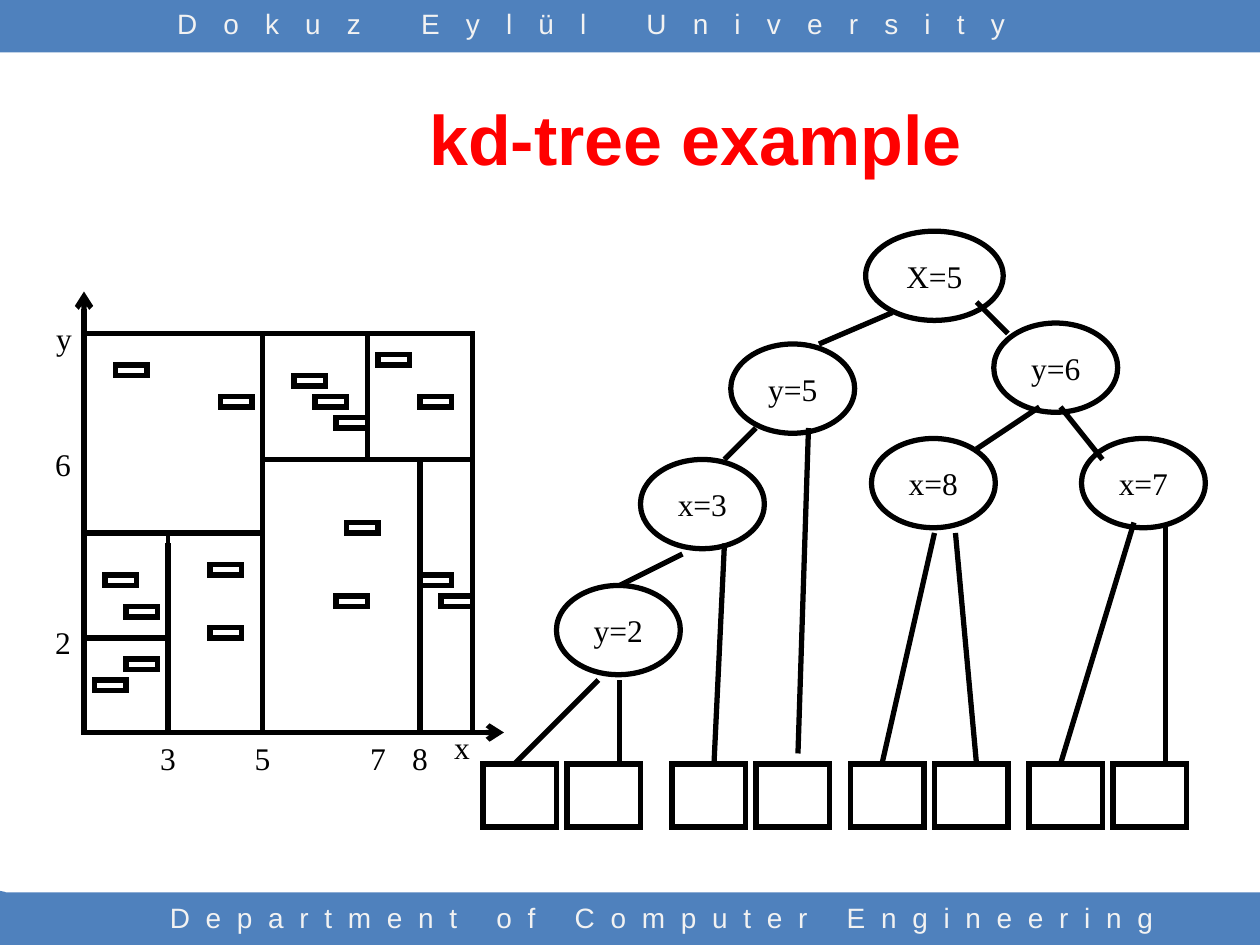
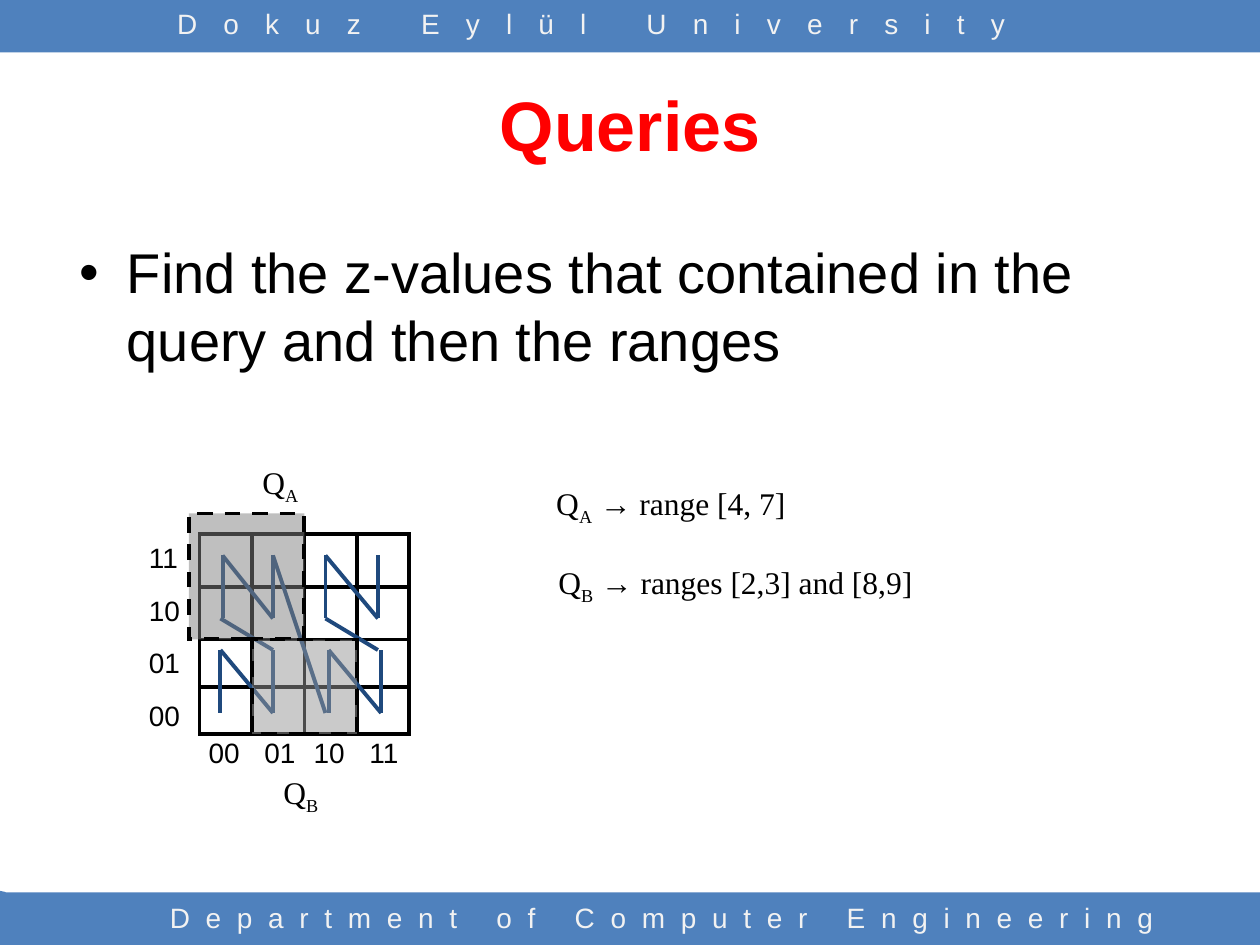
from dataclasses import dataclass
from itertools import product

from lxml.etree import SubElement
from pptx import Presentation
from pptx.dml.color import RGBColor
from pptx.enum.dml import MSO_LINE
from pptx.enum.shapes import MSO_CONNECTOR, MSO_SHAPE
from pptx.enum.text import MSO_ANCHOR, MSO_AUTO_SIZE, PP_ALIGN
from pptx.oxml.ns import qn
from pptx.util import Cm, Pt

SLIDE_W, SLIDE_H, BAND_H = 25.4, 19.05, 1.06
STEP = SLIDE_W / 120  # the drawings sit on a grid of 120 steps across

BAND_BLUE = RGBColor(0x4F, 0x81, 0xBD)
BAND_TEXT = RGBColor(0xF2, 0xF2, 0xF2)
TITLE_RED = RGBColor(0xFF, 0x00, 0x00)
BLACK = RGBColor(0x00, 0x00, 0x00)
CURVE_BLUE = RGBColor(0x1F, 0x49, 0x7D)
QUERY_A_GREY = RGBColor(0x80, 0x80, 0x80)
QUERY_B_GREY = RGBColor(0x96, 0x96, 0x96)
SANS, SERIF = "Arial", "Times New Roman"


@dataclass(frozen=True)
class Box:
    """A rectangle in centimetres."""
    left: float
    top: float
    width: float
    height: float

    def emu(self):
        return Cm(self.left), Cm(self.top), Cm(self.width), Cm(self.height)


@dataclass(frozen=True)
class Grid:
    """Turns grid steps into centimetres, with a small lift of all rows."""
    lift: float

    def x(self, column: float) -> float:
        return column * STEP

    def y(self, row: float) -> float:
        return row * STEP - self.lift

    def box(self, column, row, columns, rows) -> Box:
        return Box(self.x(column), self.y(row), columns * STEP, rows * STEP)


@dataclass(frozen=True)
class Segment:
    x1: float
    y1: float
    x2: float
    y2: float
    weight: float = 3
    color: RGBColor = BLACK
    arrow: bool = False


@dataclass(frozen=True)
class Label:
    text: str
    column: float
    row: float


@dataclass(frozen=True)
class Band:
    area: Box
    text: str
    text_area: Box
    spacing: int  # hundredths of a point


@dataclass(frozen=True)
class Query:
    area: tuple
    fill: RGBColor


@dataclass(frozen=True)
class Formula:
    subscript: str
    rest: str
    area: tuple


TREE_GRID, Z_GRID = Grid(0.05), Grid(0.02)

BANDS = [
    Band(Box(0, 0, SLIDE_W, BAND_H), "Dokuz Eylül University",
         Box(1.65, 0, 20.55, 1.07), 1500),
    Band(Box(0, SLIDE_H - BAND_H, SLIDE_W, BAND_H), "Department of Computer Engineering",
         Box(2.34, 18.03, 22.02, 1.02), 900),
]
FOOTER_CORNERS = [
    [(2.24, 18.01), (2.34, 18.01), (2.34, SLIDE_H), (1.19, SLIDE_H)],
    [(0, 17.96), (0.1, 17.98), (1.17, SLIDE_H), (0, SLIDE_H)],
]

# kd-tree
ROOT = Label("X=5", 82.44, 22.25)
INNER_NODES = [
    Label("y=5", 69.6, 33), Label("y=6", 94.65, 31), Label("x=3", 61, 44),
    Label("y=2", 53, 56), Label("x=8", 83, 42), Label("x=7", 103, 42),
]
LEAF_PAIR_COLUMNS = [46, 64, 81, 98]
LEAF_ROW = 73
BRANCHES = [
    Segment(85, 30, 78, 33), Segment(93, 29, 96, 32), Segment(99, 39, 93, 43),
    Segment(101, 39, 105, 44), Segment(72, 41, 69, 44), Segment(65, 53, 59, 56),
]
LEAF_BRANCHES = [
    Segment(57, 65, 49, LEAF_ROW), Segment(59, 65, 59, LEAF_ROW),
    Segment(69, 52, 68, LEAF_ROW), Segment(77, 41, 76, LEAF_ROW - 1),
    Segment(89, 51, 84, LEAF_ROW), Segment(91, 51, 93, LEAF_ROW),
    Segment(108, 50, 101, LEAF_ROW), Segment(111, 50, 111, LEAF_ROW),
]

# Partitioned plane
PLANE = (8, 32, 37, 38)
SPLITS = [
    Segment(25, 32, 25, 70), Segment(8, 51, 25, 51), Segment(16, 52, 16, 70),
    Segment(25, 44, 45, 44), Segment(35, 32, 35, 44), Segment(40, 44, 40, 70),
    Segment(16, 70, 16, 51, 2.25), Segment(8, 61, 16, 61),
]
AXES = [Segment(8, 34, 8, 28, arrow=True), Segment(43, 70, 48, 70, arrow=True)]
DATA_POINTS = [
    (20, 54), (9, 65), (12, 58), (10, 55), (11, 35), (12, 63), (21, 38), (20, 60), (33, 50),
    (32, 57), (28, 36), (30, 38), (32, 40), (40, 55), (42, 57), (36, 34), (40, 38),
]
AXIS_LABELS = [
    Label("5", 23, 70), Label("8", 38, 70), Label("7", 34, 70), Label("3", 14, 70),
    Label("6", 4, 42), Label("2", 4, 59), Label("x", 42, 69), Label("y", 4.1, 30),
]

# Z-order grid
CODES = ["00", "01", "10", "11"]
CODE_COLUMNS = [18.7, 24, 28.7, 34]
CODE_SIZE = (6.5, 4.4)
Z_LEFT, Z_TOP, Z_RIGHT, Z_BOTTOM = 19, 51, 39, 70
Z_STROKES = [(21, 26, 62), (21.2, 26, 53), (31.3, 36.3, 62), (31, 36, 53)]  # left, right, top
Z_JOINS = [(21, 59, 26, 62), (26, 53, 31, 68), (31, 59, 36, 62)]
QUERIES = [Query((18, 49, 11, 12), QUERY_A_GREY), Query((24, 61, 10, 9), QUERY_B_GREY)]
FORMULAS = [
    Formula("A", " → range [4, 7]", (51.8, 45.6, 31.7, 6)),
    Formula("A", "", (23.8, 43.6, 7.2, 6)),
    Formula("B", "", (25.8, 73.1, 7.1, 6)),
    Formula("B", " → ranges [2,3] and [8,9]", (52, 53.1, 47.5, 6)),
]


def set_font(paragraph, name: str, size: float, color: RGBColor = BLACK, bold=False) -> None:
    font = paragraph.font
    font.name, font.size, font.bold = name, Pt(size), bold
    font.color.rgb = color


def fit_to_text(frame) -> None:
    frame.word_wrap = False
    frame.auto_size = MSO_AUTO_SIZE.SHAPE_TO_FIT_TEXT


def add_outline(slide, kind, area: Box, weight: float = 3):
    shape = slide.shapes.add_shape(kind, *area.emu())
    shape.shadow.inherit = False
    shape.fill.background()
    shape.line.color.rgb = BLACK
    shape.line.width = Pt(weight)
    SubElement(shape._element.spPr.find(qn("a:ln")), qn("a:miter"), lim="800000")
    return shape


def fill_blue(shape) -> None:
    shape.shadow.inherit = False
    shape.fill.solid()
    shape.fill.fore_color.rgb = BAND_BLUE
    shape.line.fill.background()


def add_line(slide, grid: Grid, seg: Segment):
    line = slide.shapes.add_connector(
        MSO_CONNECTOR.STRAIGHT, Cm(grid.x(seg.x1)), Cm(grid.y(seg.y1)),
        Cm(grid.x(seg.x2)), Cm(grid.y(seg.y2)))
    line.line.color.rgb = seg.color
    line.line.width = Pt(seg.weight)
    properties = line._element.spPr
    if seg.arrow:
        SubElement(properties.find(qn("a:ln")), qn("a:tailEnd"), type="arrow")
    SubElement(properties, qn("a:effectLst"))
    return line


def add_label(slide, area: Box, text: str, font: str, size: float, centred=False) -> None:
    frame = slide.shapes.add_textbox(*area.emu()).text_frame
    fit_to_text(frame)
    paragraph = frame.paragraphs[0]
    paragraph.text = text
    if centred:
        frame.vertical_anchor = MSO_ANCHOR.MIDDLE
        paragraph.alignment = PP_ALIGN.CENTER
    set_font(paragraph, font, size)


def add_node(slide, node: Label, columns: float) -> None:
    area = TREE_GRID.box(node.column, node.row, columns, 8.5)
    frame = add_outline(slide, MSO_SHAPE.OVAL, area).text_frame
    fit_to_text(frame)
    frame.vertical_anchor = MSO_ANCHOR.MIDDLE
    paragraph = frame.paragraphs[0]
    paragraph.text = node.text
    paragraph.alignment = PP_ALIGN.CENTER
    set_font(paragraph, SERIF, 18)


def add_formula(slide, formula: Formula) -> None:
    frame = slide.shapes.add_textbox(*Z_GRID.box(*formula.area).emu()).text_frame
    fit_to_text(frame)
    paragraph = frame.paragraphs[0]
    paragraph.add_run().text = "Q"
    subscript = paragraph.add_run()
    subscript.text = formula.subscript
    subscript._r.get_or_add_rPr().set("baseline", "-25000")
    if formula.rest:
        paragraph.add_run().text = formula.rest
    set_font(paragraph, SERIF, 18)


def add_query(slide, query: Query) -> None:
    shape = add_outline(slide, MSO_SHAPE.RECTANGLE, Z_GRID.box(*query.area), 2.25)
    shape.fill.solid()
    shape.fill.fore_color.rgb = query.fill
    shape.line.dash_style = MSO_LINE.DASH
    color = shape._element.spPr.find(qn("a:solidFill")).find(qn("a:srgbClr"))
    SubElement(color, qn("a:alpha"), val="50000")


def fill_placeholder(placeholder, area: Box, text: str):
    placeholder.left, placeholder.top, placeholder.width, placeholder.height = area.emu()
    frame = placeholder.text_frame
    frame.auto_size = MSO_AUTO_SIZE.NONE
    frame.text = text
    return frame.paragraphs[0]


def start_slide(prs, layout: int, title: str, title_area: Box):
    slide = prs.slides.add_slide(prs.slide_layouts[layout])
    # Bands with their footer corners
    for band in BANDS:
        fill_blue(slide.shapes.add_shape(MSO_SHAPE.RECTANGLE, *band.area.emu()))
    for corner in FOOTER_CORNERS:
        points = [(Cm(x), Cm(y)) for x, y in corner]
        builder = slide.shapes.build_freeform(*points[0])
        builder.add_line_segments(points[1:])
        fill_blue(builder.convert_to_shape())
    for band in BANDS:
        frame = slide.shapes.add_textbox(*band.text_area.emu()).text_frame
        frame.word_wrap = True
        paragraph = frame.paragraphs[0]
        paragraph.alignment = PP_ALIGN.CENTER
        run = paragraph.add_run()
        run.text = band.text
        run._r.get_or_add_rPr().set("spc", str(band.spacing))
        set_font(paragraph, SANS, 16, BAND_TEXT)
    heading = fill_placeholder(slide.shapes.title, title_area, title)
    heading.alignment = PP_ALIGN.CENTER
    set_font(heading, SANS, 40, TITLE_RED, bold=True)
    return slide


def build_kd_tree(prs) -> None:
    slide = start_slide(prs, 5, "kd-tree example", Box(3.2, 1.73, 21.64, 2.08))
    # Tree
    add_node(slide, ROOT, 13.1)
    for node in INNER_NODES:
        add_node(slide, node, 11.8)
    for column, offset in product(LEAF_PAIR_COLUMNS, (0, 8)):
        add_outline(slide, MSO_SHAPE.RECTANGLE, TREE_GRID.box(column + offset, LEAF_ROW, 7, 6))
    # Plane and its data points
    add_outline(slide, MSO_SHAPE.RECTANGLE, TREE_GRID.box(*PLANE))
    for seg in BRANCHES + LEAF_BRANCHES + SPLITS + AXES:
        add_line(slide, TREE_GRID, seg)
    for column, row in DATA_POINTS:
        add_outline(slide, MSO_SHAPE.RECTANGLE, TREE_GRID.box(column, row, 3, 1))
    for label in AXIS_LABELS:
        area = TREE_GRID.box(label.column, label.row, 4, 4.8)
        add_label(slide, area, label.text, SERIF, 18, centred=True)


def build_queries(prs) -> None:
    slide = start_slide(prs, 1, "Queries", Box(1.27, 1.04, 22.86, 2.9))
    task = fill_placeholder(slide.placeholders[1], Box(1.35, 4.67, 22.86, 13),
                            "Find the z-values that contained in the query and then the ranges")
    task.space_before = Pt(0)
    set_font(task, SANS, 32)
    # Grid with its codes
    frame_area = Z_GRID.box(Z_LEFT, Z_TOP, Z_RIGHT - Z_LEFT, Z_BOTTOM - Z_TOP)
    z_frame = add_outline(slide, MSO_SHAPE.RECTANGLE, frame_area, 2.25)
    for column in (24, 29, 34, Z_RIGHT):
        divider = add_line(slide, Z_GRID, Segment(column, Z_TOP, column, Z_BOTTOM, 2.25))
        if column == (Z_LEFT + Z_RIGHT) / 2:
            divider.begin_connect(z_frame, 0)
            divider.end_connect(z_frame, 2)
    for row in (65.5, 61, 56):
        add_line(slide, Z_GRID, Segment(Z_LEFT, row, Z_RIGHT, row, 2.25))
    for index, (code, column) in enumerate(zip(CODES, CODE_COLUMNS)):
        for corner in ((column, 69.6), (13, 66 - 5 * index)):
            add_label(slide, Z_GRID.box(*corner, *CODE_SIZE), code, SANS, 16)
    # Z-order curve
    curve = list(Z_JOINS)
    for left, right, top in Z_STROKES:
        bottom = top + 6
        curve += [(left, bottom, left, top), (right, bottom, right, top),
                  (left, top, right, bottom)]
    for ends in curve:
        add_line(slide, Z_GRID, Segment(*ends, 2.25, CURVE_BLUE))
    # Queries and their ranges
    for query in QUERIES:
        add_query(slide, query)
    for formula in FORMULAS:
        add_formula(slide, formula)


def main() -> None:
    prs = Presentation()
    prs.slide_width, prs.slide_height = Cm(SLIDE_W), Cm(SLIDE_H)
    build_kd_tree(prs)
    build_queries(prs)
    prs.save("out.pptx")


if __name__ == "__main__":
    main()
